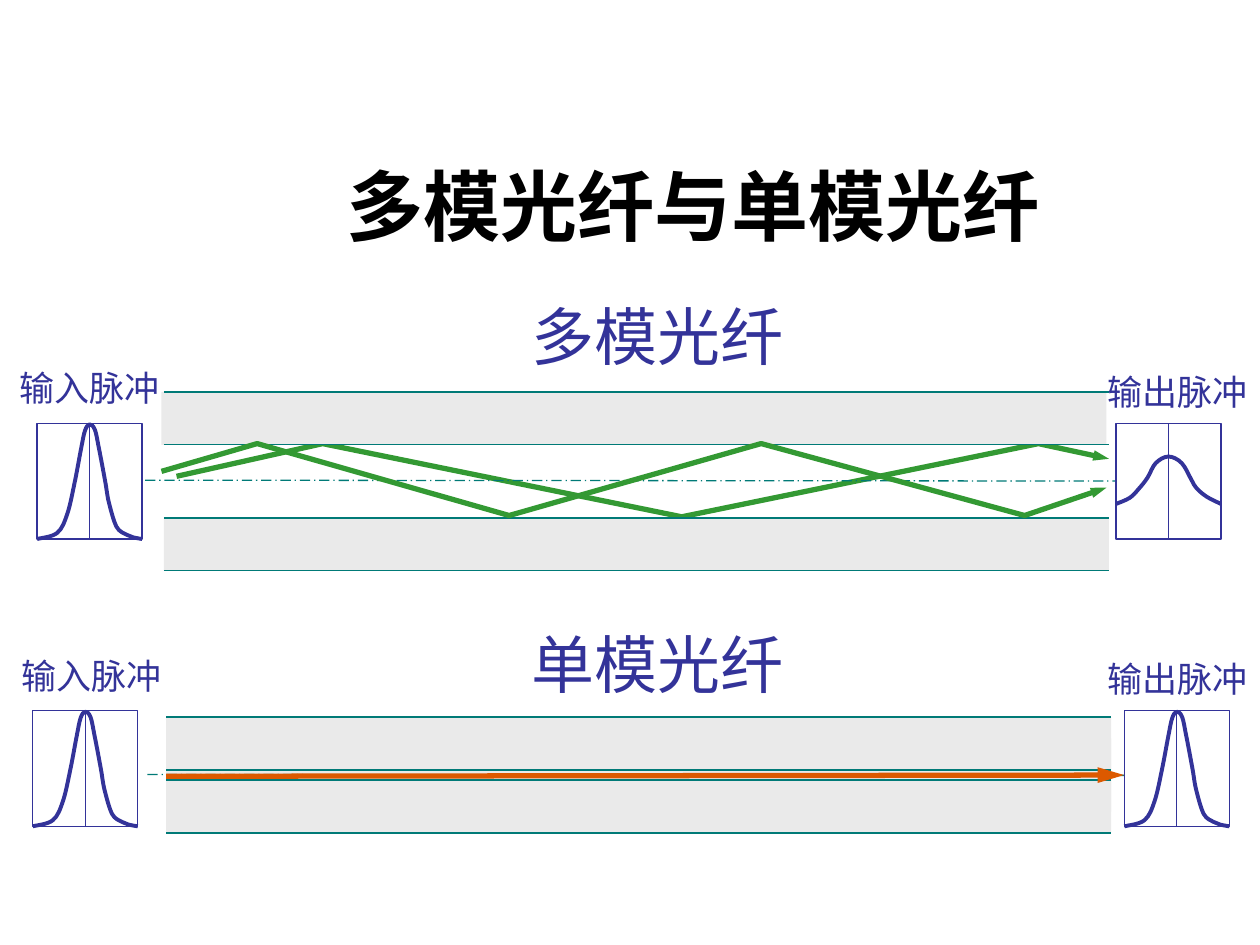
from dataclasses import dataclass

from lxml.etree import SubElement
from pptx import Presentation
from pptx.dml.color import RGBColor
from pptx.enum.dml import MSO_LINE
from pptx.enum.shapes import MSO_CONNECTOR, MSO_SHAPE
from pptx.enum.text import MSO_ANCHOR, PP_ALIGN
from pptx.oxml.ns import qn
from pptx.util import Pt


@dataclass(frozen=True)
class Theme:
    ink: str = "333399"
    title_ink: str = "000000"
    cladding: str = "EAEAEA"
    paper: str = "FFFFFF"
    boundary: str = "007A77"
    multimode_ray: str = "339933"
    singlemode_ray: str = "DC5900"
    title_size: float = 44
    heading_size: float = 36
    label_size: float = 20
    thin: float = 0.5
    edge: float = 0.75
    curve: float = 2.25
    ray: float = 3


@dataclass(frozen=True)
class Box:
    left: float
    top: float
    width: float
    height: float

    def lengths(self):
        return Pt(self.left), Pt(self.top), Pt(self.width), Pt(self.height)


THEME = Theme()
CLADDING_HEIGHT = 30.2
NARROW_ARROW = {"type": "triangle", "w": "sm", "len": "med"}
LONG_ARROW = {"type": "triangle", "w": "med", "len": "lg"}
SHARP_PULSE = [
    (0, 66), (11.5, 62.5), (17.3, 51.5), (21.6, 33), (25.2, 14),
    (27.4, 4), (30, 0.5), (33, 3.5), (35.3, 14), (38.9, 33),
    (41, 45), (45.4, 59), (51, 63.5), (54.7, 65), (60, 66),
]
BROAD_PULSE = [
    (0, 46), (7.9, 42.5), (13, 37.4), (18, 31), (22.7, 22.7), (30, 18.9),
    (37.6, 22.7), (43.2, 32.4), (46, 37), (52, 42), (60, 46),
]
SHALLOW_RAY = [(7.2, 48.2), (90.7, 29.5), (295.9, 71.3), (499.7, 29.5), (540, 38.2)]
STEEP_RAY = [(-1.4, 45.4), (53.3, 29.5), (197.3, 70.6), (341.3, 29.5),
             (491.8, 70.6), (538.6, 54.7)]


def color(value):
    return RGBColor.from_string(value)


def style_line(shape, ink, width, dash=None, arrow=None):
    shape.line.color.rgb = color(ink)
    shape.line.width = Pt(width)
    if dash:
        shape.line.dash_style = dash
    if arrow:
        SubElement(shape.line._get_or_add_ln(), qn("a:tailEnd"), **arrow)


def add_line(shapes, start, end, ink, width, **line_format):
    connector = shapes.add_connector(
        MSO_CONNECTOR.STRAIGHT, *map(Pt, start), *map(Pt, end))
    style_line(connector, ink, width, **line_format)
    SubElement(connector._element.spPr, qn("a:effectLst"))


def add_rectangle(shapes, box, fill, ink=None, width=0):
    shape = shapes.add_shape(MSO_SHAPE.RECTANGLE, *box.lengths())
    shape.shadow.inherit = False
    shape.fill.solid()
    shape.fill.fore_color.rgb = color(fill)
    if ink:
        style_line(shape, ink, width)
    else:
        shape.line.fill.background()


def bend_segments(shape):
    outline = next(shape._element.iter(qn("a:path")))
    knots = [(int(point.get("x")), int(point.get("y")))
             for point in outline.iter(qn("a:pt"))]
    for segment in list(outline.iter(qn("a:lnTo"))):
        outline.remove(segment)
    padded = [knots[0], *knots, knots[-1]]
    for before, start, end, after in zip(padded, padded[1:], padded[2:], padded[3:]):
        leaving = [b + (c - a) / 6 for a, b, c in zip(before, start, end)]
        arriving = [c - (d - b) / 6 for b, c, d in zip(start, end, after)]
        bend = SubElement(outline, qn("a:cubicBezTo"))
        for x, y in (leaving, arriving, end):
            SubElement(bend, qn("a:pt"), x=str(round(x)), y=str(round(y)))


def add_path(shapes, box, points, ink, width, curved=False, **line_format):
    placed = [(Pt(box.left + x), Pt(box.top + y)) for x, y in points]
    builder = shapes.build_freeform(*placed[0])
    builder.add_line_segments(placed[1:], close=False)
    shape = builder.convert_to_shape()
    if curved:
        bend_segments(shape)
    shape.shadow.inherit = False
    shape.fill.background()
    style_line(shape, ink, width, **line_format)


def add_text(shapes, box, text, *, size, font, ink=THEME.ink, bold=False,
             wrap=False, align=PP_ALIGN.LEFT, anchor=MSO_ANCHOR.TOP):
    frame = shapes.add_textbox(*box.lengths()).text_frame
    frame.word_wrap = wrap
    frame.vertical_anchor = anchor
    paragraph = frame.paragraphs[0]
    paragraph.alignment = align
    run = paragraph.add_run()
    run.text = text
    run.font.size = Pt(size)
    run.font.name = font
    run.font.bold = bold
    run.font.color.rgb = color(ink)


def add_fiber(shapes, box, axis_rise, upper_shift=0):
    right, bottom = box.left + box.width, box.top + box.height
    core_top, core_bottom = box.top + CLADDING_HEIGHT, bottom - CLADDING_HEIGHT
    for left, top in ((box.left + upper_shift, box.top), (box.left, core_bottom)):
        add_rectangle(shapes, Box(left, top, box.width, CLADDING_HEIGHT), THEME.cladding)
    for y in (box.top, core_top, core_bottom, bottom):
        add_line(shapes, (box.left, y), (right, y), THEME.boundary, THEME.edge)
    axis = box.top + box.height / 2 - axis_rise
    add_line(shapes, (box.left - 10.8, axis), (right + 8.6, axis + 0.5),
             THEME.boundary, THEME.edge, dash=MSO_LINE.LONG_DASH_DOT)


def add_pulse(shapes, box, knots, label, label_offset, frame_width):
    add_rectangle(shapes, box, THEME.paper, THEME.ink, frame_width)
    middle = box.left + box.width / 2
    add_line(shapes, (middle, box.top), (middle, box.top + box.height),
             THEME.ink, THEME.thin)
    add_path(shapes, box, knots, THEME.ink, THEME.curve, curved=True)
    shift, rise = label_offset
    add_text(shapes, Box(box.left + shift, box.top - rise, 94.4, 31.7), label,
             size=THEME.label_size, font="Noto Sans CJK SC")


def add_heading(shapes, top, text):
    add_text(shapes, Box(296.6, top, 158.4, 50.4), text,
             size=THEME.heading_size, font="Lato")


def add_multimode(shapes, box):
    add_path(shapes, box, SHALLOW_RAY, THEME.multimode_ray, THEME.ray, arrow=NARROW_ARROW)
    add_fiber(shapes, box, axis_rise=0.7, upper_shift=-1.4)
    pulse_top = box.top + 18
    add_pulse(shapes, Box(box.left - 72.5, pulse_top, 60, 66), SHARP_PULSE,
              "输入脉冲", (-17.3, 36), THEME.edge)
    add_pulse(shapes, Box(box.left + 544, pulse_top, 60, 66), BROAD_PULSE,
              "输出脉冲", (-12, 33.8), THEME.edge)
    add_path(shapes, box, STEEP_RAY, THEME.multimode_ray, THEME.ray, arrow=NARROW_ARROW)
    add_heading(shapes, box.top - 57.6, "多模光纤")


def add_singlemode(shapes, box):
    add_rectangle(shapes, Box(box.left, box.top + 12.2, box.width, 41.8), THEME.cladding)
    add_fiber(shapes, box, axis_rise=0.3)
    pulse_top = box.top - 3.6
    add_pulse(shapes, Box(box.left - 76.3, pulse_top, 60, 66.2), SHARP_PULSE,
              "输入脉冲", (-13.7, 36), THEME.thin)
    add_pulse(shapes, Box(box.left + 547.5, pulse_top, 60, 66.2), SHARP_PULSE,
              "输出脉冲", (-16.8, 33.8), THEME.thin)
    add_heading(shapes, box.top - 55.9, "单模光纤")
    add_line(shapes, (box.left, box.top + 33.8), (box.left + 547.3, box.top + 33.1),
             THEME.singlemode_ray, THEME.ray, arrow=LONG_ARROW)


def main():
    presentation = Presentation()
    presentation.slide_width, presentation.slide_height = Pt(720), Pt(540)
    shapes = presentation.slides.add_slide(presentation.slide_layouts[6]).shapes
    add_singlemode(shapes, Box(95, 409.8, 540, 66.2))
    add_text(shapes, Box(89.3, 31.7, 613.4, 115.2), "多模光纤与单模光纤",
             size=THEME.title_size, font="Arial", ink=THEME.title_ink, bold=True,
             wrap=True, align=PP_ALIGN.CENTER, anchor=MSO_ANCHOR.BOTTOM)
    add_multimode(shapes, Box(93.7, 224, 540, 102.2))
    presentation.save("out.pptx")


if __name__ == "__main__":
    main()
